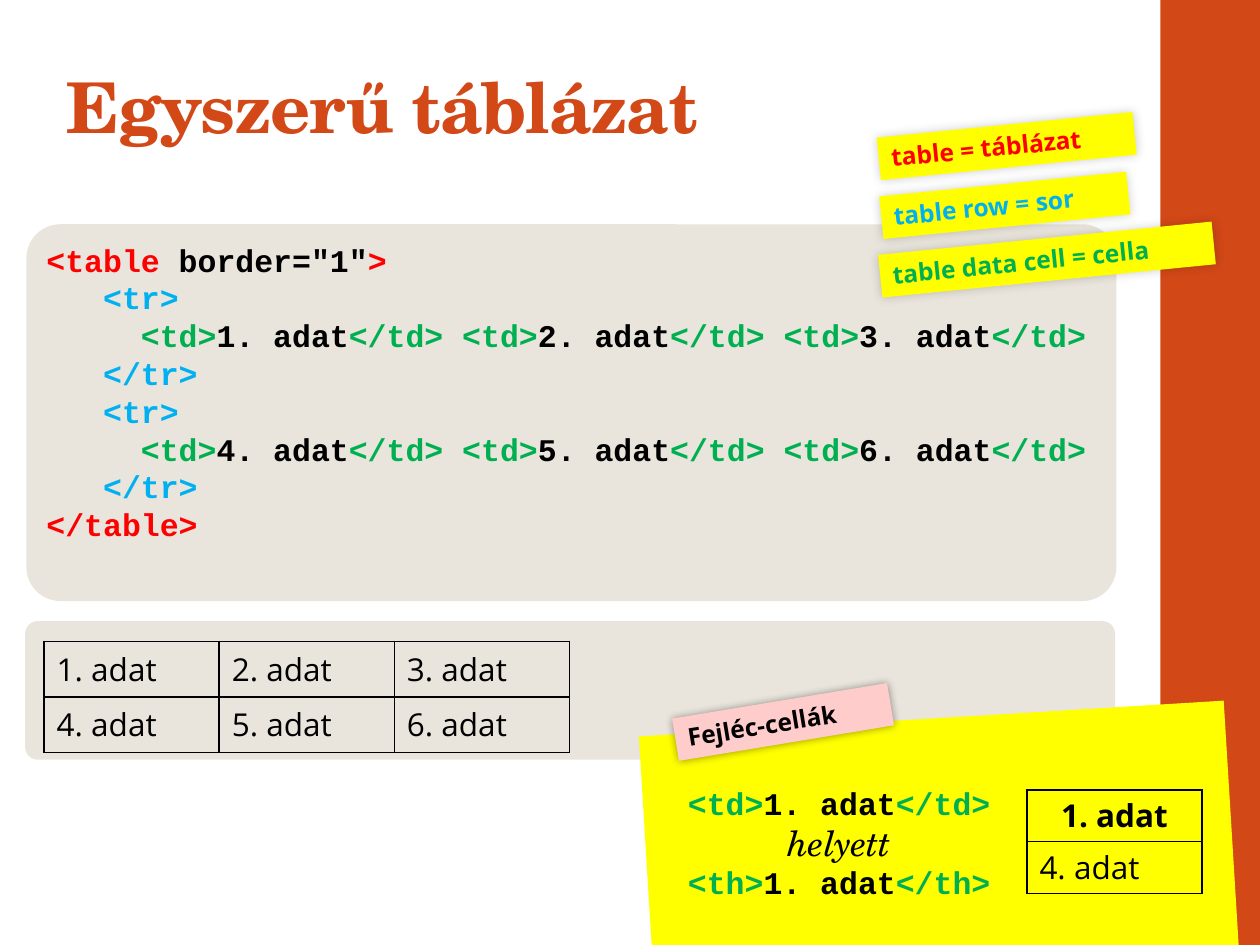
from dataclasses import dataclass
from lxml.etree import SubElement
from pptx import Presentation
from pptx.dml.color import RGBColor
from pptx.enum.shapes import MSO_SHAPE as Shape
from pptx.enum.text import MSO_ANCHOR as Anchor, MSO_AUTO_SIZE as AutoSize, PP_ALIGN as Align
from pptx.oxml.ns import qn
from pptx.util import Inches, Pt


@dataclass(frozen=True)
class Theme:
    accent: str = "D34817"
    panel: str = "E9E5DC"
    note: str = "FFFF00"
    pink: str = "FFCCCC"
    black: str = "000000"
    red: str = "FF0000"
    blue: str = "00B0F0"
    green: str = "00B050"
    serif: str = "TeX Gyre Schola"
    sans: str = "Open Sans"
    mono: str = "Courier New"
    title_size: int = 40
    serif_size: int = 20
    body_size: int = 18
    label_size: int = 14


theme = Theme()

TITLE = "Egyszerű táblázat"
DATA = [["1. adat", "2. adat", "3. adat"], ["4. adat", "5. adat", "6. adat"]]
HEADER_DATA = [["1. adat"], ["4. adat"]]
INSTEAD = "helyett"
PANELS = [((0.2, 4.93), (8.65, 1.1)), ((0.21, 1.78), (8.65, 2.99))]
LABELS = [
    ("table = táblázat", theme.red, theme.note, (6.97, 0.99, 2.04), 354.3, (20, 6, 315)),
    ("table row = sor", theme.blue, theme.note, (6.99, 1.46, 1.97), 354.3, (20, 6, 315)),
    ("table data cell = cella", theme.green, theme.note, (6.98, 1.89, 2.66), 354.3, (20, 6, 315)),
    ("Fejléc-cellák", theme.black, theme.pink, (5.35, 5.56, 1.73), 350.6, (40, 5, 0)),
]
LABEL_HEIGHT = 0.34
ROW_HEIGHT, COLUMN_WIDTH = 0.41, 1.39
CHARACTER_WIDTH = 0.15


def rgb(value):
    return RGBColor.from_string(value)


def set_font(font, name, size, color=None, bold=False, italic=False):
    font.name, font.size, font.bold, font.italic = name, Pt(size), bold, italic
    if color:
        font.color.rgb = rgb(color)


def add_box(slide, kind, box, fill, rotation=0):
    shape = slide.shapes.add_shape(kind, *map(Inches, box))
    shape.fill.solid()
    shape.fill.fore_color.rgb = rgb(fill)
    shape.line.fill.background()
    shape.shadow.inherit = False
    shape.rotation = rotation
    return shape


def add_glow(shape, opacity, blur, direction):
    effects = shape._element.spPr.find(qn("a:effectLst"))
    shadow = SubElement(effects, qn("a:outerShdw"), blurRad=str(Pt(blur)), dist="0",
                        dir=str(direction * 60000), algn="ctr", rotWithShape="0")
    color = SubElement(shadow, qn("a:srgbClr"), val=theme.black)
    SubElement(color, qn("a:alpha"), val=str(opacity * 1000))


def add_label(slide, text, color, fill, place, rotation, glow):
    shape = add_box(slide, Shape.RECTANGLE, (*place, LABEL_HEIGHT), fill, rotation)
    add_glow(shape, *glow)
    frame = shape.text_frame
    frame.word_wrap = True
    frame.vertical_anchor = Anchor.TOP
    paragraph = frame.paragraphs[0]
    paragraph.text = text
    paragraph.alignment = Align.LEFT
    set_font(paragraph.font, theme.sans, theme.label_size, color, bold=True)


def tagged(tag, text):
    return [(f"<{tag}>", theme.green), (text, theme.black), (f"</{tag}>", theme.green)]


def table_code(rows):
    yield 0, [("<table ", theme.red), ('border="1"', theme.black), (">", theme.red)]
    for row in rows:
        yield 3, [("<tr>", theme.blue)]
        cells = []
        for text in row:
            cells += ([(" ", theme.green)] if cells else []) + tagged("td", text)
        yield 5, cells
        yield 3, [("</tr>", theme.blue)]
    yield 0, [("</table>", theme.red)]


def add_code(slide, box, lines, alignment):
    frame = slide.shapes.add_textbox(*map(Inches, box)).text_frame
    frame.word_wrap = True
    for index, (indent, runs) in enumerate(lines):
        paragraph = frame.add_paragraph() if index else frame.paragraphs[0]
        paragraph.alignment = alignment
        if indent:
            paragraph._p.get_or_add_pPr().set("marL", str(Inches(indent * CHARACTER_WIDTH)))
        set_font(paragraph.font, theme.mono, theme.body_size, bold=True)
        for text, color in runs:
            run = paragraph.add_run()
            run.text = text
            run.font.color.rgb = rgb(color)
    return frame


def add_borders(cell):
    properties = cell._tc.get_or_add_tcPr()
    for side in ("lnL", "lnR", "lnT", "lnB"):
        line = SubElement(properties, qn(f"a:{side}"), w=str(Pt(1)))
        fill = SubElement(line, qn("a:solidFill"))
        SubElement(fill, qn("a:srgbClr"), val=theme.black)


def add_data_table(slide, left, top, rows, padding, header=False):
    size = (COLUMN_WIDTH * len(rows[0]), ROW_HEIGHT * len(rows))
    table = slide.shapes.add_table(len(rows), len(rows[0]), *map(Inches, (left, top, *size))).table
    table.first_row = table.horz_banding = False
    for row_index, row in enumerate(rows):
        is_header = header and row_index == 0
        for column_index, text in enumerate(row):
            cell = table.cell(row_index, column_index)
            add_borders(cell)
            cell.fill.background()
            cell.margin_top = cell.margin_bottom = Inches(padding)
            paragraph = cell.text_frame.paragraphs[0]
            paragraph.text = text
            paragraph.alignment = Align.CENTER if is_header else Align.LEFT
            set_font(paragraph.font, theme.sans, theme.body_size, theme.black, bold=is_header)


def add_title(slide):
    title = slide.shapes.title
    title.left, title.top, title.width, title.height = map(Inches, (0.43, 0.4, 8.55, 0.83))
    frame = title.text_frame
    frame.text = TITLE
    frame.auto_size = AutoSize.NONE
    frame.vertical_anchor = Anchor.BOTTOM
    paragraph = frame.paragraphs[0]
    paragraph.alignment = Align.LEFT
    paragraph.line_spacing = 0.9
    set_font(paragraph.font, theme.serif, theme.title_size, theme.accent, bold=True)
    paragraph.runs[0].font._element.set("spc", "-70")


presentation = Presentation()
presentation.slide_width, presentation.slide_height = Inches(10), Inches(7.5)
slide = presentation.slides.add_slide(presentation.slide_layouts[5])

add_title(slide)
add_box(slide, Shape.RECTANGLE, (9.21, 0, 0.79, 7.5), theme.accent)
for position, size in PANELS:
    panel = add_box(slide, Shape.ROUNDED_RECTANGLE, (*position, *size), theme.panel)
    panel.adjustments[0] = 0.09
add_data_table(slide, 0.35, 5.09, DATA, padding=0.05)
add_code(slide, (0.27, 1.86, 8.82, 2.52), table_code(DATA), Align.LEFT)

add_box(slide, Shape.FOLDED_CORNER, (5.16, 5.7, 4.65, 3.07), theme.note, 356.5)
for label in LABELS:
    add_label(slide, *label)

comparison = [(0, tagged("td", DATA[0][0])), (0, [(INSTEAD, theme.black)]), (0, tagged("th", DATA[0][0]))]
comparison_frame = add_code(slide, (5.24, 6.17, 2.84, 1.04), comparison, Align.CENTER)
set_font(comparison_frame.paragraphs[1].font, theme.serif, theme.serif_size, italic=True)
add_data_table(slide, 8.15, 6.27, HEADER_DATA, padding=0.03, header=True)

presentation.save("out.pptx")
